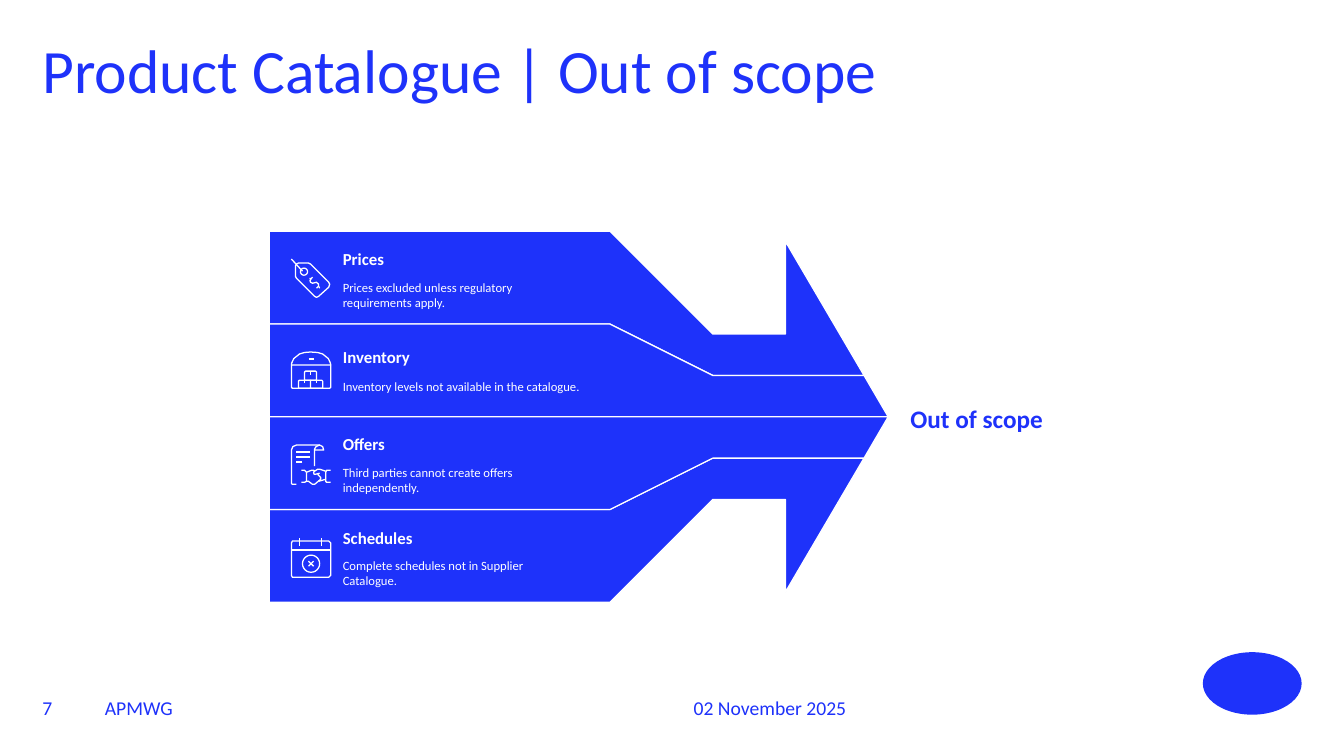
from math import cos, pi, sin

from pptx import Presentation
from pptx.dml.color import RGBColor
from pptx.enum import shapes, text
from pptx import util as u

BLUE, WHITE = "1E32FA", "FFFFFF"
FONT = "Calibri"


def color(code):
    return RGBColor.from_string(code)


def ring(x, y, r):
    return [(x + r * cos(k * pi / 12), y + r * sin(k * pi / 12))
            for k in range(25)]


TAG = [
    [(37, 28), (27, 37), (25, 38), (23, 37), (5, 19), (4, 17), (4, 7),
     (5, 5), (7, 4), (17, 4), (19, 5), (37, 23), (38, 25), (37, 28)],
    ring(12.5, 12.5, 3.5),
    [(0, 0), (11, 12)],
    [(21, 18), (19, 20), (18.5, 21.5), (19, 23), (21, 24), (25, 23),
     (27, 25), (27, 27), (25, 29)],
    [(18, 19), (20, 20)],
    [(27, 27), (28, 29)],
]
DEPOT = [
    [(31, 36), (19, 36), (19, 28), (30, 28), (31, 29), (31, 36)],
    [(25, 28), (25, 31)],
    [(19, 36), (7, 36), (7, 29), (8, 28), (19, 28)],
    [(13, 28), (13, 31)],
    [(25, 28), (13, 28), (13, 20), (14, 19), (24, 19), (25, 20), (25, 28)],
    [(19, 19), (19, 23)],
    [(17, 7), (22, 7)],
    [(0, 13), (0, 35), (1, 36), (38, 36), (39, 35), (39, 13), (0, 13)],
    [(0, 13), (0.3, 11), (2.4, 6.5), (8, 2), (13, 0.5), (19, 0),
     (26, 0.5), (31, 2), (36.6, 6.5), (38.7, 11), (39, 13)],
]
DEAL = [
    [(34, 34), (27, 36)],
    [(28, 28), (24, 29), (22.5, 29), (22, 27), (23, 26), (26, 24),
     (28, 24), (34, 26)],
    [(15, 36), (17, 36), (21, 39), (23, 39), (29, 34), (29, 32), (26, 29)],
    [(23, 26), (22, 25), (20, 25), (15, 27)],
    [(10, 25), (13, 25), (15, 27), (15, 36), (13, 37), (10, 37)],
    [(39, 37), (35, 37), (34, 36), (34, 27), (35, 25), (39, 25)],
    [(28, 0), (5, 0), (1.5, 1.5), (0, 5), (0, 38), (1, 39), (5, 39)],
    [(18, 7), (5, 7)],
    [(18, 12), (5, 12)],
    [(11, 17), (5, 17)],
    [(23, 21), (23, 4), (24.5, 1.5), (28, 0), (31, 1.5), (32, 5), (23, 5)],
]
DATES = [
    [(1, 3), (37, 3), (39, 5), (39, 37), (37, 39), (1, 39), (0, 37),
     (0, 5), (1, 3)],
    [(8, 0), (8, 8)],
    [(30, 0), (30, 8)],
    [(0, 12), (39, 12)],
    ring(19.5, 25.5, 8.5),
    [(22, 23), (17, 28)],
    [(17, 23), (22, 28)],
]

ROWS = [
    ("Prices", ["Prices excluded unless regulatory",
                "requirements apply."], 0.18, 0.49, TAG),
    ("Inventory", ["Inventory levels not available in the catalogue."],
     0.23, 0.55, DEPOT),
    ("Offers", ["Third parties cannot create offers",
                "independently."], 0.17, 0.48, DEAL),
    ("Schedules", ["Complete schedules not in Supplier",
                   "Catalogue."], 0.18, 0.48, DATES),
]

OUTER = [(3.38, 0.92), (4.4, 0.41), (5.9, 0.41), (5.12, 1.74), (5.12, 0.82),
         (4.4, 0.82), (3.38, 1.84), (0, 1.84), (0, 0.92)]
INNER = [(0, 0.92), (3.38, 0.92), (4.4, 0.41), (5.9, 0.41), (6.14, 0), (0, 0)]


def label(slide, box, lines, size, code, bold=False, wrap=False, low=False):
    frame = slide.shapes.add_textbox(*map(u.Inches, box)).text_frame
    frame.word_wrap = wrap
    frame.margin_left = frame.margin_right = 0
    frame.margin_top = frame.margin_bottom = 0
    frame.vertical_anchor = (text.MSO_ANCHOR.BOTTOM if low
                             else text.MSO_ANCHOR.TOP)
    para = frame.paragraphs[0]
    for i, line in enumerate(lines):
        if i:
            para.add_line_break()
        run = para.add_run()
        run.text = line
        run.font.name = FONT
        run.font.size = u.Pt(size)
        run.font.bold = bold
        run.font.color.rgb = color(code)
    return para


def trace(slide, left, top, strokes, unit=1, fill=None, close=False):
    pen = None
    for stroke in strokes:
        points = [(u.Inches(left + x * unit), u.Inches(top + y * unit))
                  for x, y in stroke]
        if pen is None:
            pen = slide.shapes.build_freeform(*points[0])
        else:
            pen.move_to(*points[0])
        pen.add_line_segments(points[1:], close=close)
    shape = pen.convert_to_shape()
    shape.shadow.inherit = False
    if fill:
        shape.fill.solid()
        shape.fill.fore_color.rgb = color(fill)
    else:
        shape.fill.background()
    shape.line.color.rgb = color(WHITE)
    shape.line.width = u.Pt(0.92)


def header(slide, box):
    para = label(slide, box, ["Product Catalogue | Out of scope"],
                 44, BLUE, wrap=True)
    para.line_spacing = 0.9


def arrow(slide, box):
    left, top, width, height = box
    mid = top + height / 2
    for side, band in ((1, OUTER), (-1, OUTER), (-1, INNER), (1, INNER)):
        trace(slide, left, mid, [[(x, side * y) for x, y in band]],
              fill=BLUE, close=True)
    step = height / len(ROWS)
    for i, (name, lines, head, body, icon) in enumerate(ROWS):
        y = top + i * step
        label(slide, (left + 0.73, y + head, 0.85, 0.2), [name],
              12, WHITE, bold=True)
        label(slide, (left + 0.73, y + body, 2.63, 0.15 * len(lines)),
              lines, 9, WHITE)
        trace(slide, left + 0.22, y + 0.28, icon, unit=0.01)
    label(slide, (left + width + 0.22, mid - 0.13, 1.55, 0.3),
          ["Out of scope"], 18, BLUE, bold=True)


def footer(slide, box):
    left, top, width, height = box
    for x, wide, words in ((0, 0.5, "7"), (0.62, 5.41, "APMWG"),
                           (6.46, 3, "02 November 2025")):
        label(slide, (left + x, top, wide, height), [words], 14, BLUE,
              wrap=True, low=True)
    badge = slide.shapes.add_shape(
        shapes.MSO_SHAPE.OVAL, u.Inches(left + width - 0.99),
        u.Inches(top - 0.27), u.Inches(0.98), u.Inches(0.62))
    badge.shadow.inherit = False
    badge.fill.solid()
    badge.fill.fore_color.rgb = color(BLUE)
    badge.line.fill.background()


def main():
    deck = Presentation()
    deck.slide_width, deck.slide_height = u.Inches(13.33), u.Inches(7.5)
    slide = deck.slides.add_slide(deck.slide_layouts[6])
    header(slide, (0.42, 0.4, 12.5, 0.67))
    arrow(slide, (2.67, 2.29, 6.14, 3.69))
    footer(slide, (0.42, 6.74, 12.5, 0.4))
    deck.save("out.pptx")


if __name__ == "__main__":
    main()
